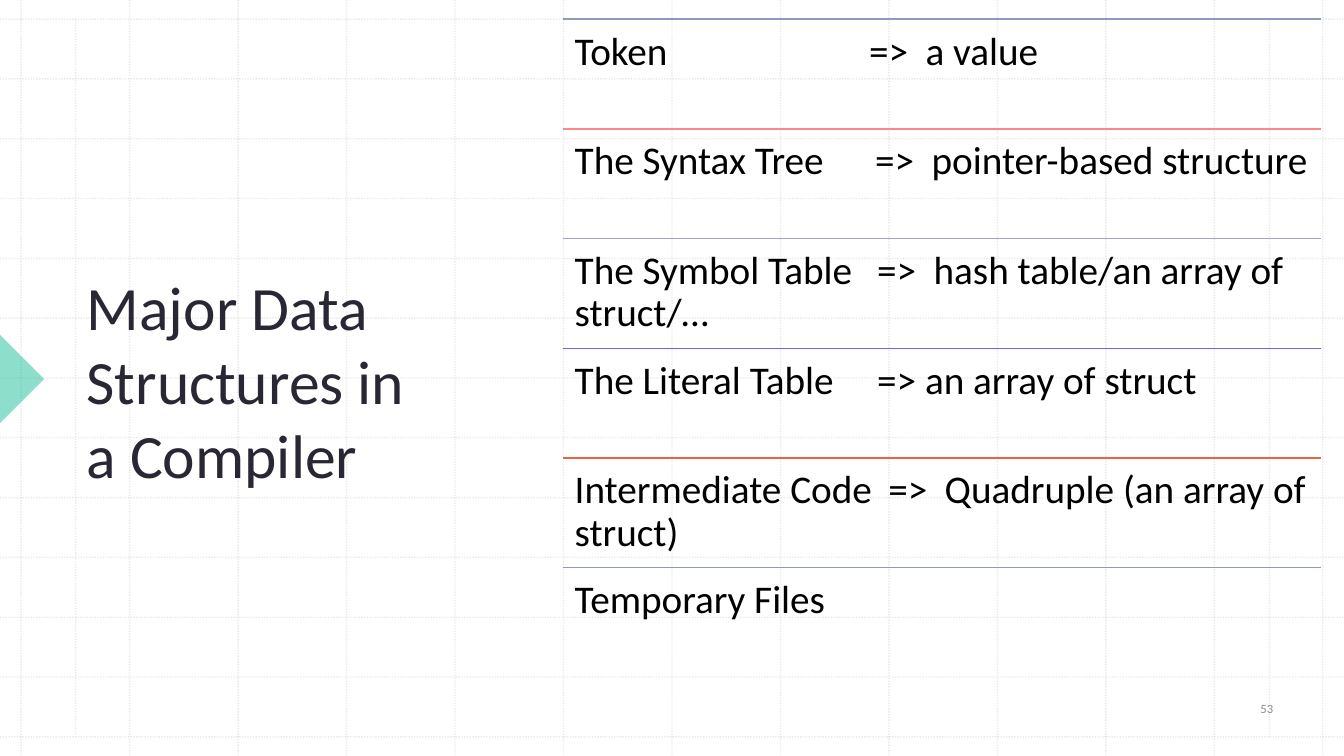
"""Build a slide listing the major data structures in a compiler."""
from dataclasses import dataclass

from lxml import etree
from pptx import Presentation
from pptx import util as u
from pptx.dml.color import RGBColor
from pptx.enum import dml, shapes, text
from pptx.oxml import ns

COLOURS = {
    "background": "FFFFFF", "grid": "BCBCBC", "marker": "1EBE9B",
    "title": "2A2735", "number": "8C8C8C", "topic": "000000",
    "slate": "8F99BB", "coral": "FD8686", "lavender": "A3A3C1",
    "violet": "7162FE", "orange": "E76445",
}
FONT = "Calibri"
WIDTH, HEIGHT = 13.33, 7.5
GRID_LEFT, GRID_RIGHT, GRID_TOP, GRID_BOTTOM = 0.21, 13.12, 0.19, 7.31
GRID_STEPS = 12
MARGINS = (0.75, 12.59)
LIST_LEFT, LIST_TOP, LIST_WIDTH, LIST_HEIGHT = 5.58, 0.19, 7.52, 6.53
ARROW_WIDTH = 0.56


@dataclass(frozen=True)
class Topic:
    """One row of the list, with the tab stop of its arrow in inches."""
    wording: str
    colour: str
    arrow_stop: float = 0


TOPICS = (
    Topic("Token\t=>\ta value", "slate", 2.92),
    Topic("The Syntax Tree\t=>\tpointer-based structure", "coral", 2.98),
    Topic("The Symbol Table\t=>\thash table/an array of struct/…", "lavender", 3),
    Topic("The Literal Table\t=> an array of struct", "violet", 3),
    Topic("Intermediate Code\t=>\tQuadruple (an array of struct)", "orange", 3.11),
    Topic("Temporary Files", "slate"),
)


def colour(name: str) -> RGBColor:
    """Return a named colour."""
    return RGBColor.from_string(COLOURS[name])


def set_alpha(element, percent: int) -> None:
    """Set the opacity of the solid fill inside an element."""
    solid = element.find(".//" + ns.qn("a:srgbClr"))
    etree.SubElement(solid, ns.qn("a:alpha"), val=str(percent * 1000))


def add_line(slide, start: tuple, end: tuple, name: str):
    """Draw a one-point line between two points."""
    points = [u.Inches(value) for value in (*start, *end)]
    line = slide.shapes.add_connector(shapes.MSO_CONNECTOR.STRAIGHT, *points)
    line.line.color.rgb = colour(name)
    line.line.width = u.Pt(1)
    etree.SubElement(line.element.spPr, ns.qn("a:effectLst"))
    return line


def add_grid(slide) -> None:
    """Draw the dotted grid and its two margin lines."""
    column = (GRID_RIGHT - GRID_LEFT) / GRID_STEPS
    row = (GRID_BOTTOM - GRID_TOP) / GRID_STEPS
    ends = []
    for step in range(GRID_STEPS + 1):
        x, y = GRID_LEFT + step * column, GRID_TOP + step * row
        ends += [((x, 0), (x, HEIGHT)), ((0, y), (WIDTH, y))]
    ends += [((x, GRID_TOP), (x, GRID_BOTTOM)) for x in MARGINS]
    for start, end in ends:
        line = add_line(slide, start, end, "grid")
        line.line.dash_style = dml.MSO_LINE.ROUND_DOT
        set_alpha(line.element.spPr, 30)


def add_marker(slide) -> None:
    """Draw the triangle pointing in from the left edge."""
    box = [u.Inches(value) for value in (-0.31, 3.45, 0.62, 0.62)]
    marker = slide.shapes.add_shape(shapes.MSO_SHAPE.RIGHT_TRIANGLE, *box)
    marker.rotation = 225
    marker.shadow.inherit = False
    marker.fill.solid()
    marker.fill.fore_color.rgb = colour("marker")
    set_alpha(marker.element.spPr, 50)
    marker.line.fill.background()


def write(shape, wording: str, size: float, name: str):
    """Write one run into a shape and return its paragraph."""
    shape.text_frame.word_wrap = True
    paragraph = shape.text_frame.paragraphs[0]
    run = paragraph.add_run()
    run.text = wording
    run.font.name = FONT
    run.font.size = u.Pt(size)
    run.font.color.rgb = colour(name)
    return paragraph


def add_title(slide) -> None:
    """Place the title in front of the grid."""
    title = slide.shapes.title
    title.element.getparent().append(title.element)
    title.left, title.top = u.Inches(0.76), u.Inches(0.79)
    title.width, title.height = u.Inches(3.75), u.Inches(5.95)
    frame = title.text_frame
    frame.auto_size = text.MSO_AUTO_SIZE.NONE
    frame.vertical_anchor = text.MSO_ANCHOR.MIDDLE
    frame.margin_right = u.Inches(0.2)
    paragraph = write(title, "Major Data Structures in a Compiler", 44, "title")
    paragraph.alignment = text.PP_ALIGN.LEFT


def add_number(slide) -> None:
    """Write the slide number."""
    box = [u.Inches(value) for value in (12.03, 6.8, 1.07, 0.46)]
    number = slide.shapes.add_textbox(*box)
    number.text_frame.vertical_anchor = text.MSO_ANCHOR.MIDDLE
    paragraph = write(number, "53", 9, "number")
    paragraph.alignment = text.PP_ALIGN.CENTER
    paragraph.space_after = u.Pt(6)


def add_topic(slide, topic: Topic, top: float, height: float) -> None:
    """Draw a topic's rule and its text below."""
    add_line(slide, (LIST_LEFT, top), (LIST_LEFT + LIST_WIDTH, top), topic.colour)
    box = [u.Inches(value) for value in (LIST_LEFT, top, LIST_WIDTH, height)]
    shape = slide.shapes.add_textbox(*box)
    frame = shape.text_frame
    frame.margin_left = frame.margin_top = frame.margin_bottom = u.Inches(0.12)
    frame.margin_right = u.Inches(0.05)
    paragraph = write(shape, topic.wording, 28, "topic")
    paragraph.line_spacing = 0.9
    if topic.arrow_stop:
        properties = paragraph._p.get_or_add_pPr()
        stops = etree.SubElement(properties, ns.qn("a:tabLst"))
        for stop in (topic.arrow_stop, topic.arrow_stop + ARROW_WIDTH):
            etree.SubElement(stops, ns.qn("a:tab"), pos=str(u.Inches(stop)), algn="l")


def main() -> None:
    """Build and save the presentation."""
    presentation = Presentation()
    presentation.slide_width = u.Inches(WIDTH)
    presentation.slide_height = u.Inches(HEIGHT)
    slide = presentation.slides.add_slide(presentation.slide_layouts[5])
    slide.background.fill.solid()
    slide.background.fill.fore_color.rgb = colour("background")
    add_grid(slide)
    add_marker(slide)
    add_title(slide)
    add_number(slide)
    pitch = LIST_HEIGHT / len(TOPICS)
    for index, topic in enumerate(TOPICS):
        add_topic(slide, topic, LIST_TOP + index * pitch, pitch)
    presentation.save("out.pptx")


if __name__ == "__main__":
    main()
